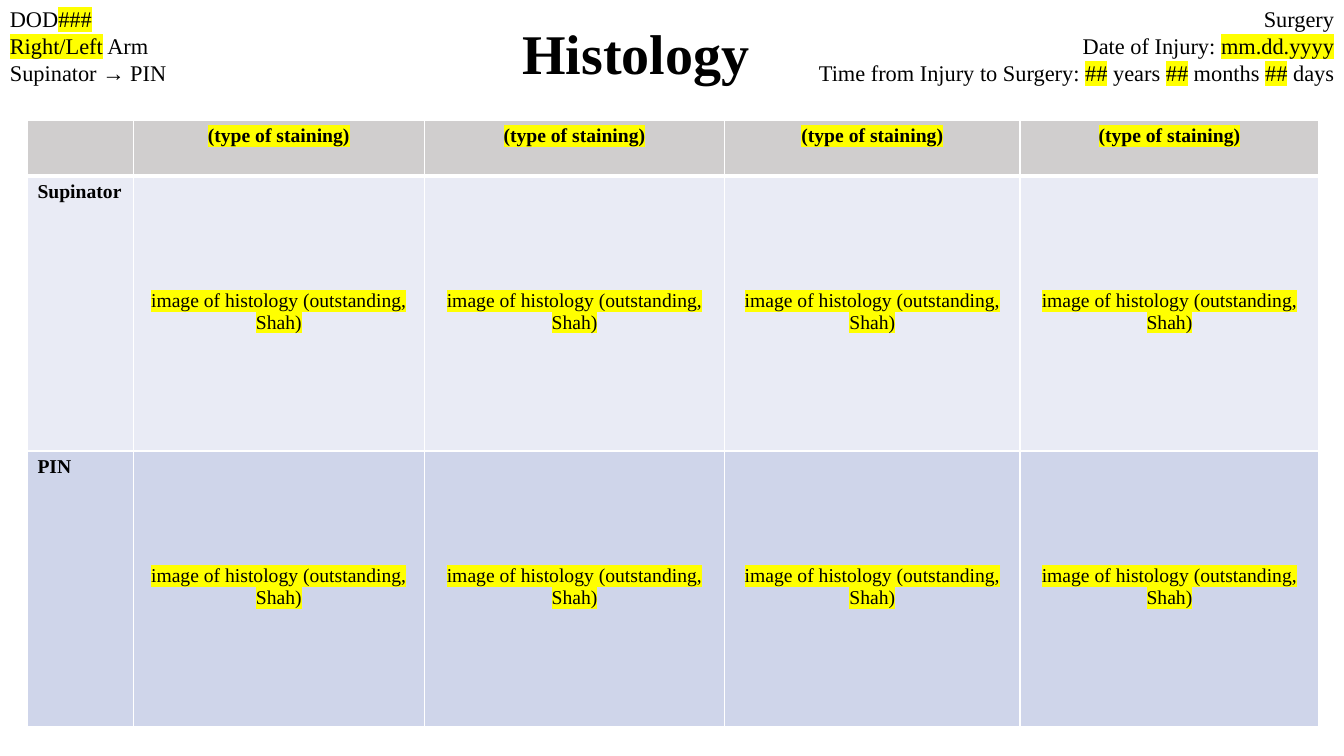
from lxml.etree import SubElement
from pptx import Presentation
from pptx.dml.color import RGBColor
from pptx.enum.text import MSO_ANCHOR, MSO_AUTO_SIZE, PP_ALIGN
from pptx.oxml import parse_xml
from pptx.oxml.ns import nsdecls, qn
from pptx.util import Pt

BLACK = RGBColor(0x00, 0x00, 0x00)
WHITE = RGBColor(0xFF, 0xFF, 0xFF)
YELLOW = RGBColor(0xFF, 0xFF, 0x00)
HEADER = RGBColor(0xD0, 0xCE, 0xCE)
LIGHT = RGBColor(0xE9, 0xEB, 0xF5)
DARK = RGBColor(0xCF, 0xD5, 0xEA)


class SlideBuilder:
    font = "Times New Roman"

    def __init__(self, prs):
        self.s = prs.slides.add_slide(prs.slide_layouts[5])

    def run(self, p, text, size, bold=False, marked=False):
        r = p.add_run()
        r.text = text
        r.font.size = Pt(size)
        r.font.bold = bold
        r.font.color.rgb = BLACK
        if marked:
            fill = r.font._element.find(qn("a:solidFill"))
            fill.addnext(parse_xml(
                f'<a:highlight {nsdecls("a")}><a:srgbClr val="{YELLOW}"/></a:highlight>'))
        r.font.name = self.font

    def title(self, text, left, top, width, height):
        sp = self.s.shapes.title
        sp.left, sp.top, sp.width, sp.height = map(Pt, (left, top, width, height))
        tf = sp.text_frame
        tf.auto_size = MSO_AUTO_SIZE.NONE
        tf.vertical_anchor = MSO_ANCHOR.MIDDLE
        p = tf.paragraphs[0]
        p.alignment = PP_ALIGN.CENTER
        self.run(p, text, 40, bold=True)

    def text(self, lines, left, top, width, height, align):
        tf = self.s.shapes.add_textbox(*map(Pt, (left, top, width, height))).text_frame
        tf.word_wrap = True
        for i, line in enumerate(lines):
            p = tf.add_paragraph() if i else tf.paragraphs[0]
            p.alignment = align
            for text, marked in line:
                self.run(p, text, 16, marked=marked)

    def cell(self, cell, text, fill, align, bold, marked, top_line=1, bottom_line=1):
        tc_pr = cell._tc.get_or_add_tcPr()
        for side, width in zip("LRTB", (1, 1, top_line, bottom_line)):
            ln = SubElement(tc_pr, qn(f"a:ln{side}"), w=str(Pt(width)))
            color = SubElement(ln, qn("a:solidFill"))
            SubElement(color, qn("a:srgbClr"), val=str(WHITE))
        cell.fill.solid()
        cell.fill.fore_color.rgb = fill
        p = cell.text_frame.paragraphs[0]
        p.alignment = align
        if text:
            self.run(p, text, 14, bold, marked)

    def table(self, labels, heading, entry, left, top, widths, heights):
        frame = self.s.shapes.add_table(
            len(heights), len(widths), Pt(left), Pt(top), Pt(sum(widths)), Pt(sum(heights)))
        table = frame.table
        table.first_row = table.horz_banding = False
        for column, width in zip(table.columns, widths):
            column.width = Pt(width)
        for row, height in zip(table.rows, heights):
            row.height = Pt(height)
        for i, (label, fill) in enumerate(zip(labels, (HEADER, LIGHT, DARK))):
            lines = {"top_line": 3 if i == 1 else 1, "bottom_line": 1 if i else 3}
            self.cell(table.cell(i, 0), label, fill, PP_ALIGN.LEFT, True, False, **lines)
            for j in range(1, len(widths)):
                cell = table.cell(i, j)
                self.cell(cell, entry if i else heading, fill, PP_ALIGN.CENTER,
                          i == 0, True, **lines)
                if i:
                    cell.margin_top = Pt(81.5)


def main():
    prs = Presentation()
    prs.slide_width, prs.slide_height = Pt(960), Pt(540)
    slide = SlideBuilder(prs)
    slide.title("Histology", 303, 9.4, 302.4, 55.4)
    slide.text([
        [("Surgery", False)],
        [("Date of Injury: ", False), ("mm.dd.yyyy", True)],
        [("Time from Injury to Surgery: ", False), ("##", True), (" years ", False),
         ("##", True), (" months ", False), ("##", True), (" days", False)],
    ], 570.8, 0, 389.2, 65.5, PP_ALIGN.RIGHT)
    slide.text([
        [("DOD", False), ("###", True)],
        [("Right/Left", True), (" Arm", False)],
        [("Supinator → PIN", False)],
    ], 0, 0, 227.5, 65.5, PP_ALIGN.LEFT)
    slide.table(["", "Supinator", "PIN"], "(type of staining)",
                "image of histology (outstanding, Shah)", 19.6, 86,
                [75.6, 208, 214.5, 211, 213.5], [39.6, 196.6, 196.6])
    prs.save("out.pptx")


if __name__ == "__main__":
    main()
